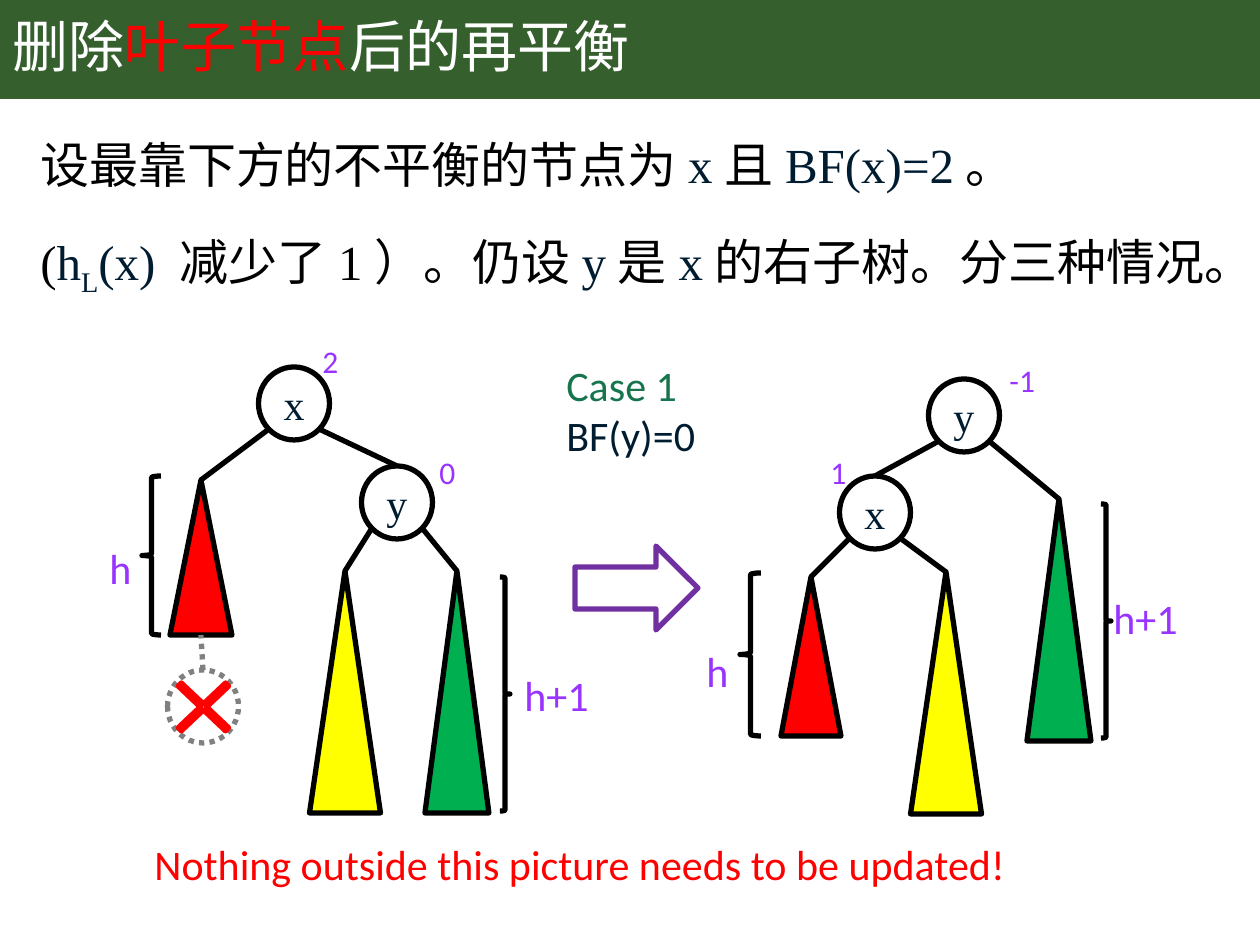
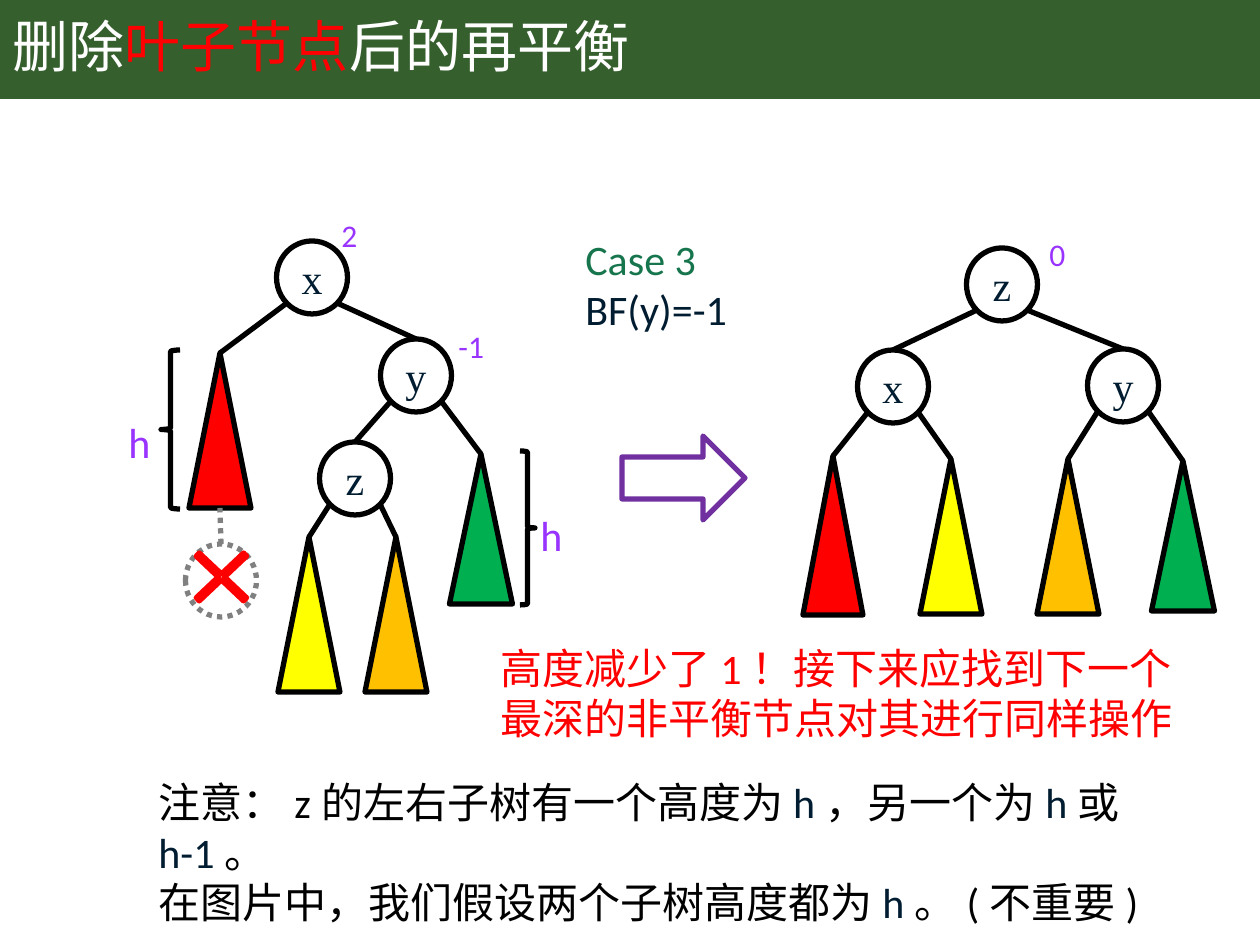
from pptx import Presentation
from pptx.dml.color import RGBColor
from pptx.enum.dml import MSO_LINE as Dash
from pptx.enum.shapes import MSO_CONNECTOR as Conn, MSO_SHAPE as Kind
from pptx.enum.text import MSO_ANCHOR as Anchor, PP_ALIGN as Align
from pptx.oxml.ns import qn
from pptx.util import Emu, Pt
from lxml.etree import SubElement

# Colours and fonts
BLACK = RGBColor(0, 0, 0)
WHITE = RGBColor(255, 255, 255)
RED = RGBColor(255, 0, 0)
YELLOW = RGBColor(255, 255, 0)
ORANGE = RGBColor(0xFF, 0xC0, 0x00)
GREEN = RGBColor(0x00, 0xB0, 0x50)
GRAY = RGBColor(0x80, 0x80, 0x80)
NAVY = RGBColor(0x00, 0x1C, 0x30)
JADE = RGBColor(0x16, 0x75, 0x4D)
VIOLET = RGBColor(0x99, 0x33, 0xFF)
PURPLE = RGBColor(0x70, 0x30, 0xA0)
BAND = RGBColor(0x36, 0x5F, 0x2E)
SANS, SERIF = "Calibri", "Times New Roman"

# Sizes in px
SCALE = 914400 / 126
WIDE, HIGH, BAR = 1260, 945, 99
NODE_W, NODE_H = 71, 73
ARM, FOOT = 25, 62  # where a link leaves its node

# Content: texts are paragraphs of (words, colour) runs
TITLE = [[("删除", WHITE), ("叶子节点", RED), ("后的再平衡", WHITE)]]
INTRO = [
    [("设最靠下方的不平衡的节点为", BLACK), ("x", NAVY), ("且", BLACK),
     ("BF(x)=2", NAVY), ("。", BLACK)],
    [("(", BLACK), ("h", NAVY), ("L", NAVY), ("(x) ", NAVY),
     ("减少了1）。仍设", BLACK), ("y", NAVY), ("是", BLACK),
     ("x", NAVY), ("的右子树。分三种情况。", BLACK)],
]
REMARK = [
    [("注意：z的左右子树有一个高度为", BLACK), ("h", NAVY),
     ("，另一个为", BLACK), ("h", NAVY), ("或", BLACK),
     ("h-1", NAVY), ("。", BLACK)],
    [("在图片中，我们假设两个子树高度都为", BLACK), ("h", NAVY),
     ("。(不重要)", BLACK)],
]

# nodes: centre x, top; links: parent, child, side
# subs: parent, side, colour, apex x, top, width, height
# marks and spans: words, left, top; gone: centre x, top, cross top, stub
CASES = [
    dict(
        case=("Case 1", "BF(y)=0"), case_at=(554, 353), arrow=(575, 546),
        notes=[([[("Nothing outside this picture needs to be updated!", RED)]],
                (142, 832, 977, 63))],
        trees=[
            dict(nodes={"x": (294, 367), "y": (397, 466)},
                 links=[("x", "y", 1)],
                 subs=[("x", -1, RED, 201, 480, 62, 155),
                       ("y", -1, YELLOW, 345, 571, 71, 242),
                       ("y", 1, GREEN, 457, 571, 64, 242)],
                 marks=[("2", 310, 336), ("0", 427, 447)],
                 braces=[(Kind.LEFT_BRACE, (142, 476, 19, 159)),
                         (Kind.RIGHT_BRACE, (500, 577, 10, 234))],
                 spans=[("h", 97, 536), ("h+1", 512, 663)],
                 gone=(203, 670, 664, (201, 635))),
            dict(nodes={"y": (964, 379), "x": (875, 476)},
                 links=[("y", "x", -1)],
                 subs=[("x", -1, RED, 811, 577, 60, 159),
                       ("x", 1, YELLOW, 946, 572, 71, 242),
                       ("y", 1, GREEN, 1059, 499, 64, 242)],
                 marks=[("1", 818, 447), ("-1", 997, 355)],
                 braces=[(Kind.LEFT_BRACE, (740, 573, 21, 163)),
                         (Kind.RIGHT_BRACE, (1101, 504, 10, 234))],
                 spans=[("h", 694, 639), ("h+1", 1101, 586)]),
        ]),
    dict(
        case=("Case 3", "BF(y)=-1"), case_at=(573, 227), arrow=(622, 436),
        notes=[([[("高度减少了1！接下来应找到下一个最深的非平衡节点对其进行同样操作",
                   RED)]], (488, 636, 699, 115)),
               (REMARK, (146, 770, 1042, 115))],
        trees=[
            dict(nodes={"x": (312, 241), "y": (416, 339), "z": (355, 442)},
                 links=[("x", "y", 1), ("y", "z", -1)],
                 subs=[("x", -1, RED, 220, 353, 62, 155),
                       ("z", -1, YELLOW, 309, 537, 62, 155),
                       ("z", 1, ORANGE, 396, 537, 62, 155),
                       ("y", 1, GREEN, 481, 454, 63, 150)],
                 marks=[("2", 329, 210), ("-1", 446, 321)],
                 braces=[(Kind.LEFT_BRACE, (161, 350, 19, 159)),
                         (Kind.RIGHT_BRACE, (520, 451, 15, 154))],
                 spans=[("h", 116, 410), ("h", 528, 503)],
                 gone=(221, 544, 534, (220, 508))),
            dict(nodes={"z": (1002, 248), "x": (893, 350), "y": (1123, 349)},
                 links=[("z", "x", -1), ("z", "y", 1)],
                 subs=[("x", -1, RED, 833, 456, 60, 159),
                       ("x", 1, YELLOW, 951, 459, 62, 155),
                       ("y", -1, ORANGE, 1068, 459, 62, 155),
                       ("y", 1, GREEN, 1183, 461, 63, 150)],
                 marks=[("0", 1037, 229)], braces=[], spans=[]),
        ]),
]


def px(*nums):
    return [Emu(round(n * SCALE)) for n in nums]


# Text
def style(run, size, color, font=SANS):
    run.font.size = Pt(size)
    run.font.name = font
    run.font.color.rgb = color


def write(frame, paras, size, font=SANS):
    frame.word_wrap = True
    for i, parts in enumerate(paras):
        para = frame.add_paragraph() if i else frame.paragraphs[0]
        for words, color in parts:
            run = para.add_run()
            run.text = words
            style(run, size, color, font)


def note(slide, paras, box, size=24, font=SANS):
    frame = slide.shapes.add_textbox(*px(*box)).text_frame
    write(frame, paras, size, font)
    return frame


# Shapes
def draw(slide, kind, box, line=BLACK, fill=None):
    shape = slide.shapes.add_shape(kind, *px(*box))
    shape.shadow.inherit = False
    if fill is None:
        shape.fill.background()
    else:
        shape.fill.solid()
        shape.fill.fore_color.rgb = fill
    shape.line.color.rgb = line
    shape.line.width = Pt(3)
    return shape


def join(slide, start, end, color=BLACK):
    line = slide.shapes.add_connector(Conn.STRAIGHT, *px(*start, *end))
    line.line.color.rgb = color
    line.line.width = Pt(3)
    SubElement(line._element.spPr, qn("a:effectLst"))
    return line


def ring(slide, mid, top, color=BLACK):
    box = (mid - NODE_W / 2, top, NODE_W, NODE_H)
    return draw(slide, Kind.OVAL, box, color)


def node(slide, name, mid, top):
    frame = ring(slide, mid, top).text_frame
    frame.margin_left = frame.margin_right = 0
    frame.margin_top = frame.margin_bottom = 0
    frame.vertical_anchor = Anchor.MIDDLE
    frame.text = name
    para = frame.paragraphs[0]
    para.alignment = Align.CENTER
    style(para.runs[0], 24, NAVY, SERIF)


def drop(slide, mid, top, cross, stub):
    """The removed leaf: dotted ring and stub with a red cross."""
    ring(slide, mid, top, GRAY).line.dash_style = Dash.ROUND_DOT
    join(slide, (mid, top), stub, GRAY).line.dash_style = Dash.ROUND_DOT
    mark = draw(slide, Kind.MATH_MULTIPLY, (mid - 45, cross, 91, 86), RED, WHITE)
    mark.adjustments[0] = 0.051


def grow(slide, tree):
    nodes = tree["nodes"]

    def link(name, side, end):
        mid, top = nodes[name]
        join(slide, (mid + side * ARM, top + FOOT), end)

    for name, spot in nodes.items():
        node(slide, name, *spot)
    for name, child, side in tree["links"]:
        link(name, side, nodes[child])
    for name, side, color, mid, top, wide, high in tree["subs"]:
        box = (mid - wide / 2, top, wide, high)
        draw(slide, Kind.ISOSCELES_TRIANGLE, box, fill=color)
        link(name, side, (mid, top))
    for kind, box in tree["braces"]:
        draw(slide, kind, box)
    for words, left, top in tree["marks"]:
        note(slide, [[(words, VIOLET)]], (left, top, 55, 50), 18)
    for words, left, top in tree["spans"]:
        note(slide, [[(words, VIOLET)]], (left, top, 103, 63))
    if "gone" in tree:
        drop(slide, *tree["gone"])


# Parts that the slides share
def band(prs, slide):
    bar = draw(slide, Kind.RECTANGLE, (0, 0, WIDE, BAR), fill=BAND)
    bar.line.fill.background()
    prs.slide_master.shapes._spTree.insert(2, bar._element)


def head(slide):
    title = slide.shapes.title
    title.left, title.top, title.width, title.height = px(0, 0, 1086, BAR)
    frame = title.text_frame
    frame.vertical_anchor = Anchor.MIDDLE
    write(frame, TITLE, 32)
    frame.paragraphs[0].alignment = Align.LEFT
    frame.paragraphs[0].line_spacing = 0.9


def intro(slide):
    frame = note(slide, INTRO, (28, 111, 1206, 815), 28, SERIF)
    for para in frame.paragraphs:
        para.line_spacing = 1.3
    last = frame.paragraphs[1]
    last.space_before = Pt(10)
    last.runs[2].font._element.set("baseline", "-25000")


def main():
    prs = Presentation()
    prs.slide_width, prs.slide_height = px(WIDE, HIGH)
    for i, case in enumerate(CASES):
        slide = prs.slides.add_slide(prs.slide_layouts[5])
        head(slide)
        if i == 0:
            band(prs, slide)
            intro(slide)
        name, rule = case["case"]
        note(slide, [[(name, JADE)], [(rule, NAVY)]], (*case["case_at"], 199, 115))
        draw(slide, Kind.RIGHT_ARROW, (*case["arrow"], 123, 84), PURPLE)
        for tree in case["trees"]:
            grow(slide, tree)
        for paras, box in case["notes"]:
            note(slide, paras, box)
    prs.save("out.pptx")


if __name__ == "__main__":
    main()
